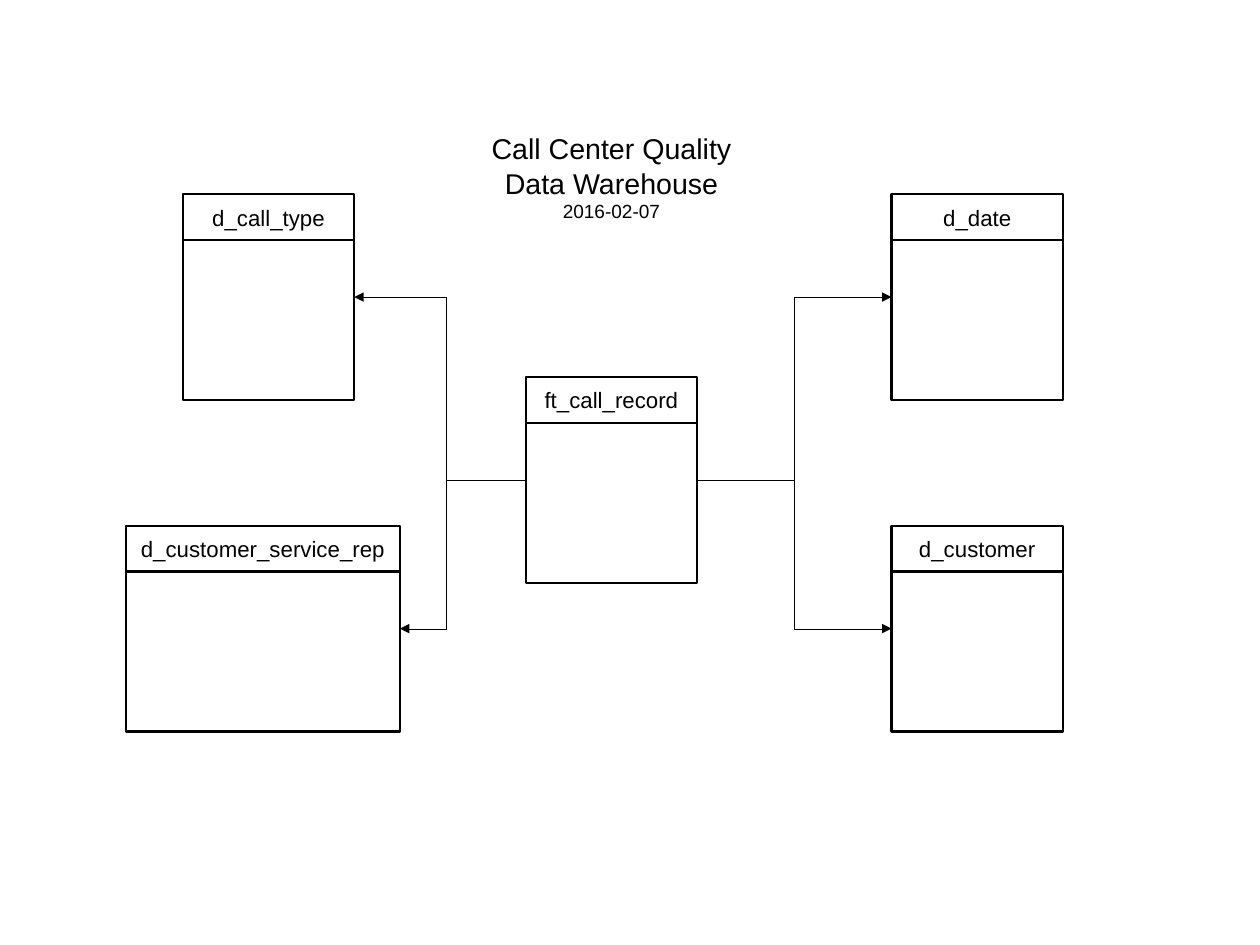
from pptx import Presentation
from pptx.dml.color import RGBColor
from pptx.enum.shapes import MSO_CONNECTOR as Link, MSO_SHAPE as Shape
from pptx.enum.text import MSO_ANCHOR as Anchor, MSO_AUTO_SIZE as AutoSize, PP_ALIGN as Align
from pptx.oxml.ns import qn
from pptx.util import Inches, Pt
from lxml.etree import SubElement

COLORS = {"ink": "000000"}
INK = RGBColor.from_string(COLORS["ink"])
CM_PER_INCH = 2.54
HEADER_HEIGHT = 0.4
TABLES = {
    "ft_call_record": (4.6, 3.3, 1.5, 1.8),
    "d_date": (7.8, 1.7, 1.5, 1.8),
    "d_call_type": (1.6, 1.7, 1.5, 1.8),
    "d_customer": (7.8, 4.6, 1.5, 1.8),
    "d_customer_service_rep": (1.1, 4.6, 2.4, 1.8),
}
FACT = "ft_call_record"
LEFT_BEND, RIGHT_BEND = 3.9, 6.95
TITLE = [("Call Center Quality", 18), ("Data Warehouse", 18), ("2016-02-07", 12)]


def style_paragraph(paragraph, text, size):
    """Write centred text in the diagram's font."""
    paragraph.text = text
    paragraph.alignment = Align.CENTER
    paragraph.font.name = "Arial"
    paragraph.font.size = Pt(size)
    paragraph.font.color.rgb = INK


def add_box(shapes, left, top, width, height):
    """Draw one outlined, unfilled rectangle."""
    box = shapes.add_shape(Shape.RECTANGLE, *map(Inches, (left, top, width, height)))
    box.shadow.inherit = False
    box.fill.background()
    box.line.color.rgb = INK
    box.line.width = Pt(1.45)
    return box


def add_entity(slide, name, left, top, width, height):
    """Draw a warehouse table as a named header above an empty body."""
    parts = slide.shapes.add_group_shape().shapes
    header = add_box(parts, left, top, width, HEADER_HEIGHT)
    add_box(parts, left, top + HEADER_HEIGHT, width, height - HEADER_HEIGHT)
    frame = header.text_frame
    frame.word_wrap = True
    frame.vertical_anchor = Anchor.MIDDLE
    frame.margin_left = frame.margin_right = Inches(0.11)
    frame.margin_top = frame.margin_bottom = Inches(0.06)
    style_paragraph(frame.paragraphs[0], name, 14)


def add_relation(slide, fact, dimension):
    """Draw a bent hairline arrow from the fact box to the facing side of a dimension box."""
    fact_left, fact_top, fact_width, fact_height = fact
    left, top, width, height = dimension
    if left < fact_left:
        start_x, end_x, bend_x = fact_left, left + width, LEFT_BEND
    else:
        start_x, end_x, bend_x = fact_left + fact_width, left, RIGHT_BEND
    start_y, end_y = fact_top + fact_height / 2, top + height / 2
    arrow = slide.shapes.add_connector(
        Link.ELBOW, *map(Inches, (start_x, start_y, end_x, end_y)))
    arrow.line.color.rgb = INK
    properties = arrow._element.spPr
    outline = properties.find(qn("a:ln"))
    outline.set("w", "0")
    SubElement(outline, qn("a:tailEnd"), type="triangle")
    SubElement(properties, qn("a:effectLst"))
    bend = round((bend_x - start_x) / (end_x - start_x) * 100000)
    guides = properties.find(qn("a:prstGeom")).find(qn("a:avLst"))
    SubElement(guides, qn("a:gd"), name="adj1", fmla=f"val {bend}")


def add_title(slide, left, top, width, height):
    """Write the diagram title and its date."""
    frame = slide.shapes.add_textbox(*map(Inches, (left, top, width, height))).text_frame
    frame.word_wrap = False
    frame.auto_size = AutoSize.SHAPE_TO_FIT_TEXT
    for index, (text, size) in enumerate(TITLE):
        paragraph = frame.add_paragraph() if index else frame.paragraphs[0]
        style_paragraph(paragraph, text, size)


def main():
    """Build the star schema slide and save it."""
    deck = Presentation()
    deck.slide_width = Inches(28 / CM_PER_INCH)
    deck.slide_height = Inches(21 / CM_PER_INCH)
    slide = deck.slides.add_slide(deck.slide_layouts[6])
    for name, box in TABLES.items():
        add_entity(slide, name, *box)
    for name, box in TABLES.items():
        if name != FACT:
            add_relation(slide, TABLES[FACT], box)
    add_title(slide, 4.2, 1.1, 2.3, 0.85)
    deck.save("out.pptx")


if __name__ == "__main__":
    main()
